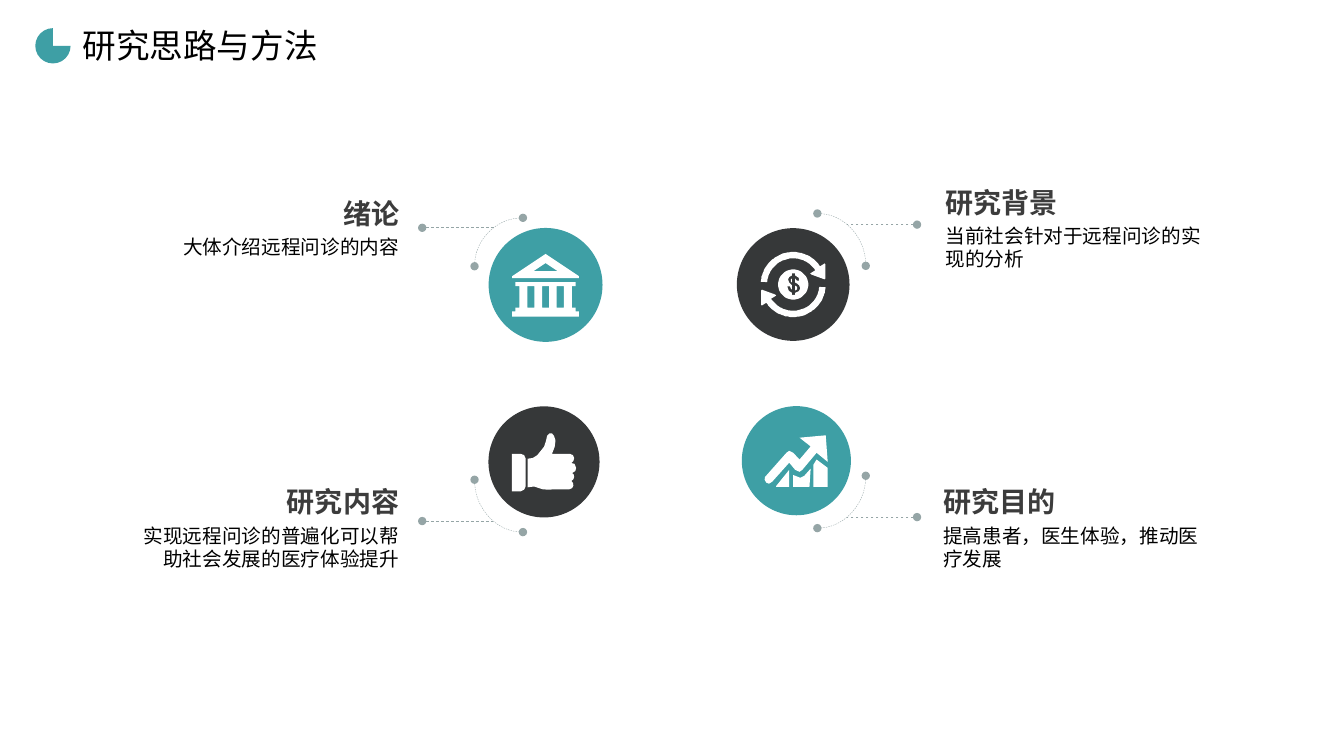
from dataclasses import dataclass
from math import cos, radians, sin

from lxml import etree
from pptx import Presentation
from pptx.dml.color import RGBColor
from pptx.enum.dml import MSO_LINE
from pptx.enum.shapes import MSO_CONNECTOR, MSO_SHAPE
from pptx.enum.text import MSO_AUTO_SIZE, PP_ALIGN
from pptx.oxml.ns import qn
from pptx.util import Cm, Pt

ARC, OVAL, PIE = MSO_SHAPE.ARC, MSO_SHAPE.OVAL, MSO_SHAPE.CHORD
PIE = MSO_SHAPE.PIE
STRAIGHT = MSO_CONNECTOR.STRAIGHT
DASH = MSO_LINE.DASH
LEFT, RIGHT = PP_ALIGN.LEFT, PP_ALIGN.RIGHT
GROW = MSO_AUTO_SIZE.SHAPE_TO_FIT_TEXT


@dataclass(frozen=True)
class Theme:
    teal: RGBColor = RGBColor(0x3E, 0x9F, 0xA5)
    dark: RGBColor = RGBColor(0x36, 0x38, 0x39)
    white: RGBColor = RGBColor(0xFF, 0xFF, 0xFF)
    black: RGBColor = RGBColor(0, 0, 0)
    heading_gray: RGBColor = RGBColor(0x3C, 0x3C, 0x3C)
    line_gray: RGBColor = RGBColor(0x95, 0xA5, 0xA6)
    latin: str = "Arial"
    chinese: str = "Noto Sans CJK SC"
    title: Pt = Pt(24)
    heading: Pt = Pt(20)
    body: Pt = Pt(14)


theme = Theme()
prs = Presentation()
prs.slide_width, prs.slide_height = Cm(33.87), Cm(19.05)
slide = prs.slides.add_slide(prs.slide_layouts[6])
shapes = slide.shapes


def paint(shape, color):
    shape.shadow.inherit = False
    shape.fill.solid()
    shape.fill.fore_color.rgb = color
    shape.line.fill.background()


def add_text(text, box, size, color, font, align=LEFT, bold=False, inset=True):
    frame = shapes.add_textbox(*map(Cm, box)).text_frame
    frame.word_wrap = inset is False
    frame.auto_size = GROW
    if not inset:
        frame.margin_left = frame.margin_right = 0
        frame.margin_top = frame.margin_bottom = 0
    paragraph = frame.paragraphs[0]
    paragraph.alignment = align
    run = paragraph.add_run()
    run.text = text
    run.font.size, run.font.bold, run.font.name = size, bold, font
    run.font.color.rgb = color
    east_asian = etree.SubElement(run.font._element, qn("a:ea"))
    east_asian.set("typeface", theme.chinese)


bank_body = [(84, 80), (84, 67), (76, 67), (76, 57), (66, 57),
             (66, 3), (76, 3), (76, -7)]
bank_roof = [(84, -17), (84, -22), (0, -78)]
bank = [half + [(-x, y) for x, y in reversed(half)]
        for half in (bank_body, bank_roof)]
bank.append([(0, -55), (30, -35), (-30, -35)])
for middle in (-37, 0, 37):
    bank.append([(middle - 9, 3), (middle + 9, 3),
                 (middle + 9, 57), (middle - 9, 57)])

sweep = [radians(a) for a in range(185, 328, 3)]
cycle_arrow = [(82 * cos(a), 82 * sin(a)) for a in sweep]
cycle_arrow += [(79, -53), (81, -51), (81, -15), (79, -13),
                (46, -25), (43, -28), (56, -36)]
cycle_arrow += [(66 * cos(a), 66 * sin(a)) for a in reversed(sweep)]
coin = [(38 * cos(radians(a)), 38 * sin(radians(a))) for a in range(0, 360, 6)]
dollar = [(5, -23), (5, -28), (-3, -28), (-3, -23), (-10, -19), (-13, -13),
          (-10, -5), (-5, 0), (-3, 2), (-3, 13), (-6, 10), (-8, 5), (-15, 5),
          (-11, 16), (-3, 21), (-3, 26), (5, 26), (5, 21), (14, 17), (18, 10),
          (15, 2), (9, -3), (5, -5), (5, -15), (9, -10), (15, -10), (14, -17)]
dollar_gaps = [[(5, 15), (10, 12), (10, 6), (5, 3)],
               [(-3, -15), (-6, -13), (-6, -8), (-3, -5)]]
cycle = [cycle_arrow, [(-x, -y) for x, y in cycle_arrow],
         coin, dollar, *dollar_gaps]

cuff = [(-81, -20), (-58, -20), (-50, -17), (-46, -8),
        (-46, 61), (-50, 70), (-58, 74), (-81, 74)]
hand = [(-41, -8), (-28, -10), (-17, -17), (-8, -28), (0, -38), (5, -53),
        (8, -66), (14, -72), (20, -72), (25, -66), (29, -54), (27, -38),
        (20, -20), (66, -20), (73, -17), (76, -10), (74, -2), (69, 3),
        (77, 5), (81, 15), (79, 23), (71, 28), (75, 32), (76, 38), (74, 44),
        (69, 48), (73, 53), (74, 60), (71, 66), (64, 69), (30, 69), (10, 70),
        (-3, 69), (-13, 66), (-25, 62), (-41, 64)]
thumb = [cuff, hand]

trend = [(-18, 5), (-61, 53), (-69, 58), (-76, 55), (-80, 48), (-79, 41),
         (-25, -20), (-18, -25), (-8, -20), (8, -3), (36, -36), (8, -58),
         (74, -64), (79, 3), (51, -20), (15, 23), (8, 28), (-3, 23)]
growth = [trend,
          [(-51, 66), (-18, 66), (-18, 23), (-51, 64)],
          [(20, 38), (10, 43), (-8, 36), (-8, 66), (33, 66), (36, 20)],
          [(51, -3), (43, 10), (43, 66), (79, 66), (79, 18)]]

topics = [
    ("绪论", "大体介绍远程问诊的内容", theme.teal, (13.75, 7.18, 2.87), bank,
     (11.96, 5.49, 2.44, 2.44), ("flipH",), (10.64, 12.45, 5.74),
     RIGHT, 10.06, 4.95, 0.6),
    ("研究背景", "当前社会针对于远程问诊的实现的分析", theme.dark,
     (19.99, 7.17, 2.84), cycle,
     (19.38, 5.38, 2.44, 2.64), (), (23.11, 21.34, 5.66),
     LEFT, 23.83, 4.67, 1.2),
    ("研究内容", "实现远程问诊的普遍化可以帮助社会发展的医疗体验提升", theme.dark,
     (13.71, 11.64, 2.8), thumb,
     (11.96, 10.77, 2.44, 2.64), ("flipH", "flipV"), (10.64, 12.42, 13.13),
     RIGHT, 10.06, 12.22, 1.2),
    ("研究目的", "提高患者，医生体验，推动医疗发展", theme.teal,
     (20.07, 11.61, 2.75), growth,
     (19.38, 10.67, 2.44, 2.64), ("flipV",), (23.11, 21.34, 13.03),
     LEFT, 23.77, 12.22, 1.2),
]

for (heading, body, color, (center_x, center_y, diameter), icon, arc_box, flips,
     (dot_x, inner_x, leader_y), align, edge, top, body_height) in topics:
    disc = shapes.add_shape(OVAL, Cm(center_x - diameter / 2),
                            Cm(center_y - diameter / 2),
                            Cm(diameter), Cm(diameter))
    paint(disc, color)

    builder = shapes.build_freeform(*icon[0][0], scale=Cm(0.01))
    for index, outline in enumerate(icon):
        if index:
            builder.move_to(*outline[0])
        builder.add_line_segments(outline[1:], close=True)
    paint(builder.convert_to_shape(Cm(center_x), Cm(center_y)), theme.white)

    arc = shapes.add_shape(ARC, *map(Cm, arc_box))
    arc.shadow.inherit = False
    arc.fill.background()
    for flip in flips:
        arc._element.spPr.xfrm.set(flip, "1")
    leader = shapes.add_connector(STRAIGHT, Cm(dot_x), Cm(leader_y),
                                  Cm(inner_x), Cm(leader_y))
    for stroke, width, ends in ((arc, 0.25, ("a:headEnd", "a:tailEnd")),
                                (leader, 0.5, ("a:headEnd",))):
        stroke.line.color.rgb = theme.line_gray
        stroke.line.width = Pt(width)
        stroke.line.dash_style = DASH
        for end in ends:
            etree.SubElement(stroke.line._ln, qn(end)).set("type", "oval")
    etree.SubElement(leader._element.spPr, qn("a:effectLst"))

    for text, width, y, height, size, ink, bold in (
            (heading, 4.67, top, 0.86, theme.heading, theme.heading_gray, True),
            (body, 6.48, top + 0.97, body_height, theme.body, theme.black, False)):
        x = edge - width if align == RIGHT else edge
        add_text(text, (x, y, width, height), size, ink, theme.latin,
                 align, bold, inset=False)

title_mark = shapes.add_shape(PIE, Cm(0.89), Cm(0.71), Cm(0.89), Cm(0.89))
paint(title_mark, theme.teal)
add_text("研究思路与方法", (1.83, 0.51, 6.5, 1.27), theme.title, theme.black,
         theme.chinese)

prs.save("out.pptx")
